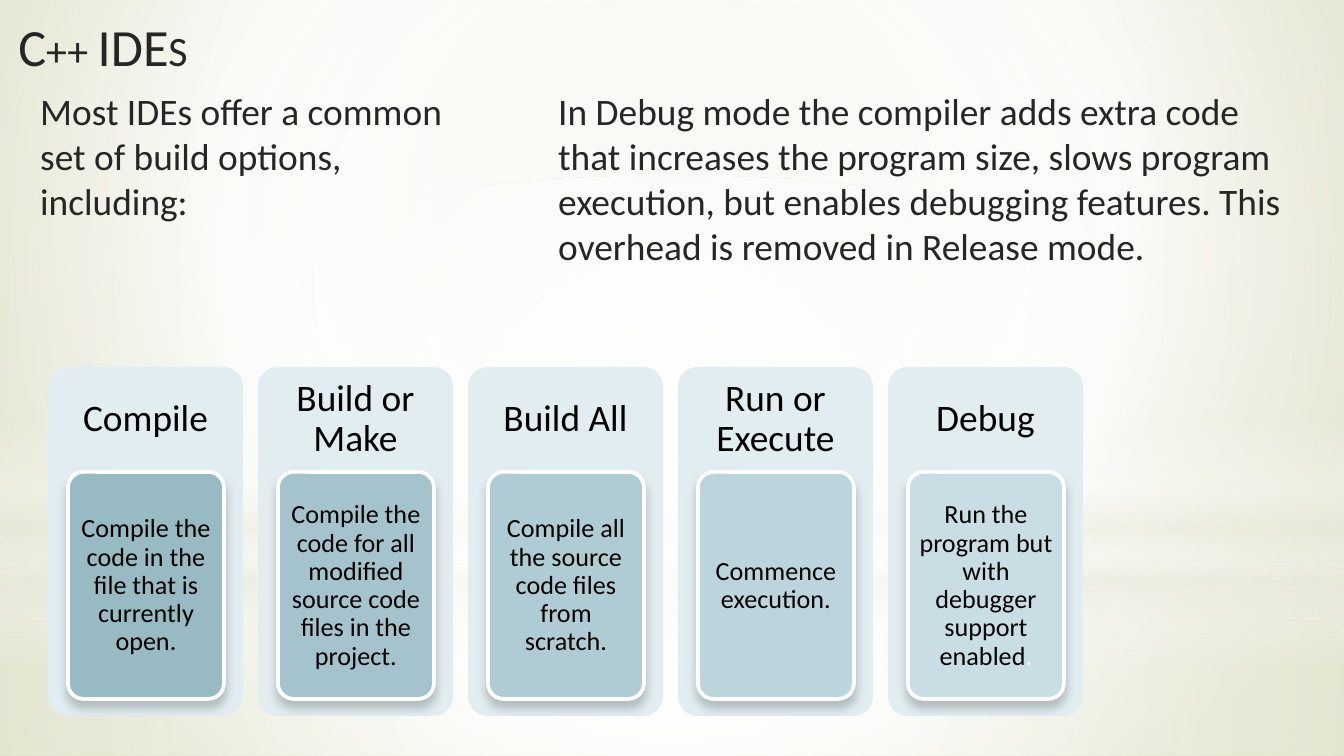
"""Build the slide on C++ IDE build options."""
import pptx
import pptx.dml.color
import pptx.enum.shapes
import pptx.enum.text
import pptx.oxml
import pptx.oxml.ns
import pptx.util

PX = 9144000 / 1344
COLORS = {
    "text": "262626", "black": "000000", "white": "FFFFFF", "card": "E1EDF0",
    "sage": "E3E5D1", "olive": "CCD09F", "mist": "EAEBDE",
    "step1": "98BAC3", "step2": "A4C3CC", "step3": "AFCCD5",
    "step4": "BCD5DD", "step5": "C8DEE4",
}
CENTER = (50, 50, 50, 50)
SHAPE = pptx.enum.shapes.MSO_SHAPE
ANCHOR = pptx.enum.text.MSO_ANCHOR
ALIGN = pptx.enum.text.PP_ALIGN
NS = pptx.oxml.ns.nsdecls("a")
STEPS = [
    ("Compile", [("Compile the code in the file that is currently open.", "black")]),
    ("Build or Make", [("Compile the code for all modified source code files in the project.", "black")]),
    ("Build All", [("Compile all the source code files from scratch.", "black")]),
    ("Run or Execute", [("Commence execution.", "black")]),
    ("Debug", [("Run the program but with debugger support enabled", "black"), (".", "white")]),
]


def rgb(name):
    return pptx.dml.color.RGBColor.from_string(COLORS[name])


def emu(*lengths):
    return [pptx.util.Emu(round(n * PX)) for n in lengths]


class Deck:
    """Hold the text style and the current slide."""

    def __init__(self, font):
        self.font = font
        self.prs = pptx.Presentation()
        self.prs.slide_width, self.prs.slide_height = emu(1344, 756)
        self.s = self.prs.slides.add_slide(self.prs.slide_layouts[5])

    def gradient(self, fill, parent, stops, to=None):
        fill.solid()
        gs = "".join(
            f'<a:gs pos="{pos * 1000}"><a:srgbClr val="{COLORS[color]}">'
            f'<a:alpha val="{alpha * 1000}"/></a:srgbClr></a:gs>'
            for pos, color, alpha in stops)
        if to:
            sides = " ".join(f'{k}="{v * 1000}"' for k, v in zip("ltrb", to))
            shade = f'<a:path path="circle"><a:fillToRect {sides}/></a:path>'
        else:
            shade = '<a:lin ang="5400000" scaled="0"/>'
        xml = f'<a:gradFill {NS} rotWithShape="1"><a:gsLst>{gs}</a:gsLst>{shade}</a:gradFill>'
        solid = parent.find(pptx.oxml.ns.qn("a:solidFill"))
        parent.replace(solid, pptx.oxml.parse_xml(xml))

    def background(self, stops, to):
        fill = self.s.background.fill
        fill.solid()
        bg = next(self.s.element.iter(pptx.oxml.ns.qn("p:bgPr")))
        self.gradient(fill, bg, stops, to)

    def glow(self, kind, box, stops, to=None):
        sp = self.s.shapes.add_shape(kind, *emu(*box))
        sp.shadow.inherit = False
        sp.line.fill.background()
        self.gradient(sp.fill, sp.element.spPr, stops, to)

    def card(self, box, color, raised=False):
        sp = self.s.shapes.add_shape(SHAPE.ROUNDED_RECTANGLE, *emu(*box))
        sp.adjustments[0] = 0.1
        sp.shadow.inherit = False
        sp.fill.solid()
        sp.fill.fore_color.rgb = rgb(color)
        if not raised:
            sp.line.fill.background()
            return
        sp.line.color.rgb = rgb("white")
        sp.line.width = pptx.util.Pt(2)
        effects = sp.element.spPr.find(pptx.oxml.ns.qn("a:effectLst"))
        effects.append(pptx.oxml.parse_xml(
            f'<a:outerShdw {NS} blurRad="63500" dist="50800" dir="5400000" rotWithShape="0">'
            f'<a:srgbClr val="{COLORS["black"]}"><a:alpha val="20000"/></a:srgbClr></a:outerShdw>'))

    def add_runs(self, tf, runs, size):
        tf.word_wrap = True
        p = tf.paragraphs[0]
        for text, color in runs:
            r = p.add_run()
            r.text = text
            r.font.name = self.font
            r.font.size = pptx.util.Pt(size)
            r.font.color.rgb = rgb(color)
        return p

    def title(self, box, text):
        sp = self.s.shapes.title
        sp.left, sp.top, sp.width, sp.height = emu(*box)
        sp.element.getparent().append(sp.element)
        tf = sp.text_frame
        tf.auto_size = pptx.enum.text.MSO_AUTO_SIZE.NONE
        tf.vertical_anchor = ANCHOR.TOP
        p = self.add_runs(tf, [(text, "text")], 28)
        p.alignment = ALIGN.LEFT
        p.runs[0].font._element.set("cap", "small")

    def body(self, box, text):
        tf = self.s.shapes.add_textbox(*emu(*box)).text_frame
        self.add_runs(tf, [(text, "text")], 20)

    def label(self, box, runs, size, insets):
        tf = self.s.shapes.add_textbox(*emu(*box)).text_frame
        across, down = emu(*insets)
        tf.margin_left = tf.margin_right = across
        tf.margin_top = tf.margin_bottom = down
        tf.vertical_anchor = ANCHOR.MIDDLE
        p = self.add_runs(tf, runs, size)
        p.alignment = ALIGN.CENTER
        p.line_spacing = 0.9


def main():
    deck = Deck("Calibri")
    deck.background([(0, "sage", 100), (60, "white", 100), (100, "olive", 100)], (20, 10, 20, 60))
    deck.glow(SHAPE.RECTANGLE, (0, 563, 1344, 193),
              [(0, "white", 91), (37, "white", 76), (100, "mist", 79)], CENTER)
    deck.glow(SHAPE.RECTANGLE, (0, 0, 1344, 563),
              [(0, "white", 89), (48, "white", 62), (100, "mist", 79)], CENTER)
    deck.glow(SHAPE.RECTANGLE, (0, 415, 1344, 253),
              [(0, "white", 0), (29, "white", 30), (45, "mist", 40),
               (55, "white", 26), (65, "mist", 60), (100, "white", 0)])
    deck.glow(SHAPE.OVAL, (0, 176, 1344, 563), [(0, "white", 100), (56, "white", 0)], CENTER)

    deck.title((5, 8, 571, 85), "C++ IDEs")
    deck.body((27, 82, 465, 149), "Most IDEs offer a common set of build options, including:")
    for i, (name, runs) in enumerate(STEPS):
        x = 48 + 210 * i
        deck.card((x, 367, 195, 349), "card")
        deck.label((x, 367, 195, 105), [(name, "black")], 20, (10, 10))
        deck.card((x + 20, 472, 156, 227), f"step{i + 1}", raised=True)
        deck.label((x + 24, 477, 148, 218), runs, 14, (5, 4))
    deck.body((545, 82, 762, 195),
              "In Debug mode the compiler adds extra code that increases the program size, "
              "slows program execution, but enables debugging features. "
              "This overhead is removed in Release mode.")
    deck.prs.save("out.pptx")


if __name__ == "__main__":
    main()
